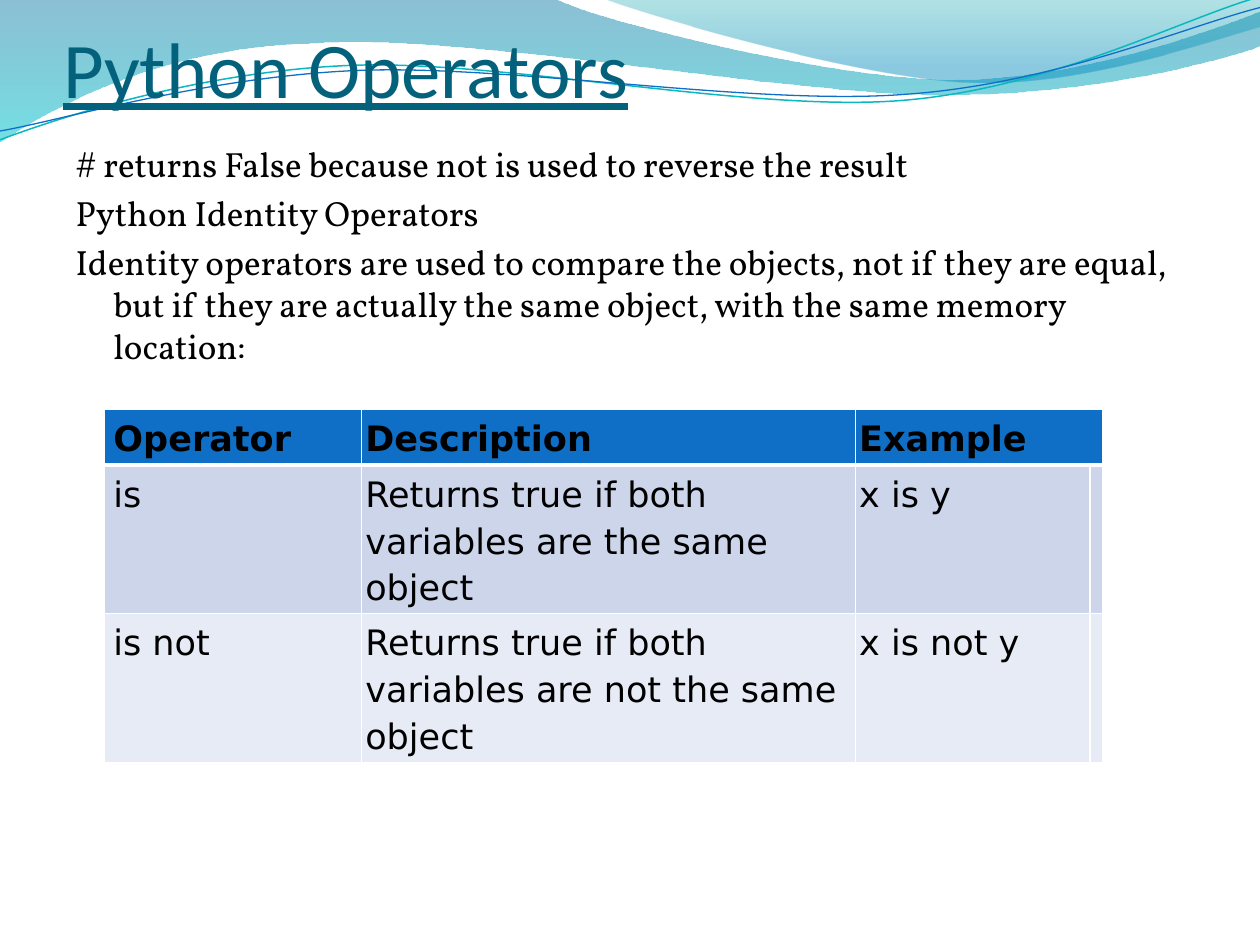
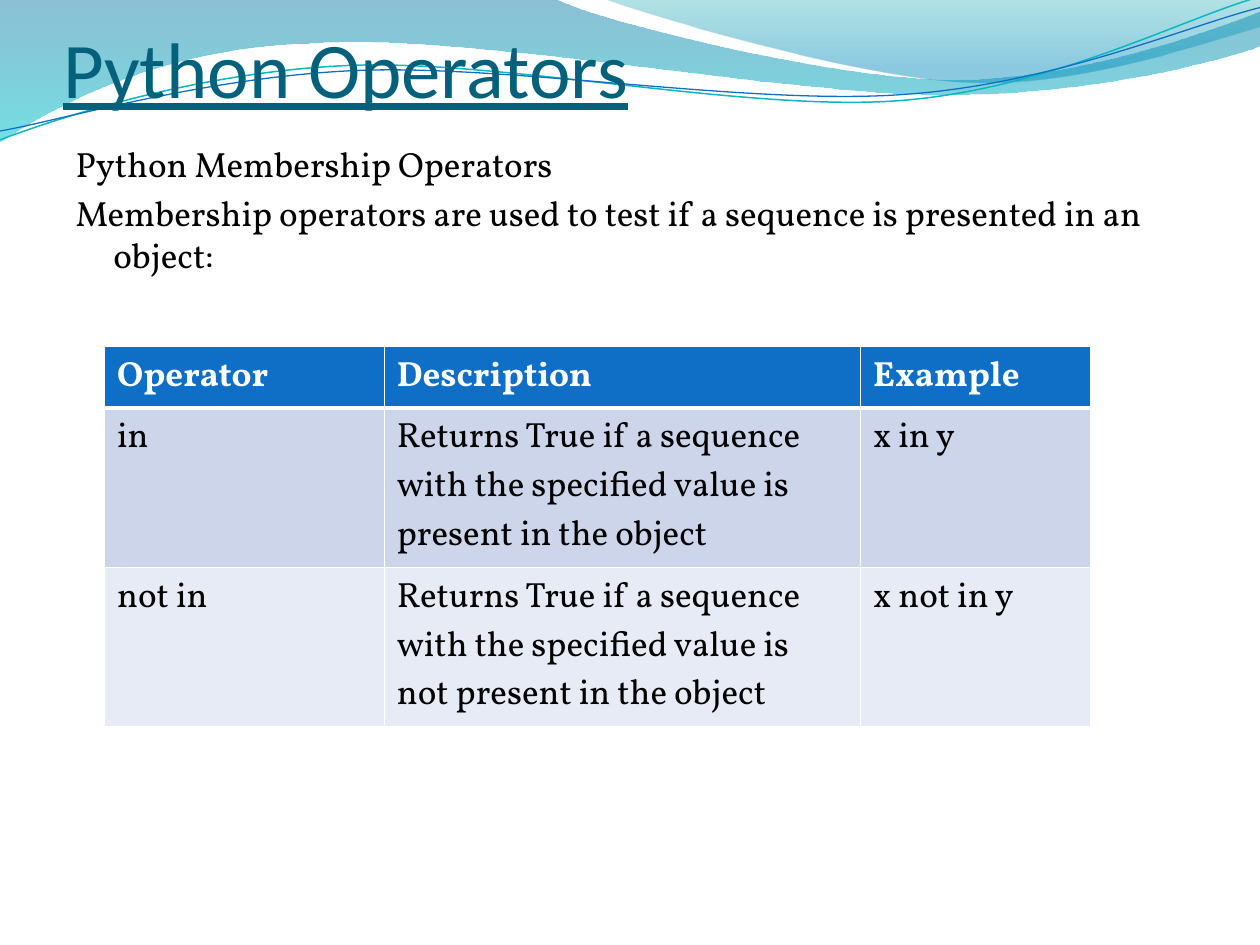
import dataclasses

import pptx
import pptx.dml.color
import pptx.enum.text
import pptx.oxml
import pptx.oxml.ns
import pptx.util
from pptx.util import Inches


@dataclasses.dataclass(frozen=True)
class Theme:
    title_color: str = "04617B"
    text: str = "000000"
    white: str = "FFFFFF"
    header: str = "0F6FC6"
    bands: tuple = ("CCD5EA", "E7EBF5")
    teal_line: str = "0AB8BF"
    title_font: str = "Calibri"
    body_font: str = "Vollkorn"
    code_font: str = "DejaVu Sans"
    title_size: int = 45
    body_size: int = 20


THEME = Theme()
NAMESPACE = pptx.oxml.ns.nsdecls("a")

# Each wave is a list of points; a six-number entry is a Bezier curve.
BROAD_WAVE = [(0, 0), (4.4, -0.01), (4.76, 0.17, 6.64, 0.63, 7.58, 0.63),
              (8.53, 0.63, 9.58, 0.26, 10, 0.09), (10.01, 0.36),
              (9.83, 0.44, 8.7, 0.76, 7.46, 0.75),
              (6.22, 0.75, 3.82, 0.28, 2.57, 0.34),
              (1.29, 0.36, 0.46, 0.83, -0.01, 1.13)]
RIGHT_WAVE = [(4.79, -0.01), (5.09, 0.11, 6.82, 0.62, 7.69, 0.65),
              (8.56, 0.69, 9.61, 0.32, 10, 0.21), (10, 0)]
TEAL_WAVE = [(0, 1.11), (0.48, 0.93, 1.58, 0.57, 2.77, 0.52),
             (3.95, 0.47, 5.93, 0.89, 7.13, 0.8),
             (8.33, 0.71, 9.38, 0.15, 9.98, -0.02)]
BLUE_WAVE = [(0, 1.04), (0.47, 0.96, 1.64, 0.61, 2.83, 0.56),
             (4.03, 0.51, 5.97, 0.84, 7.17, 0.75),
             (8.36, 0.67, 9.41, 0.21, 10, 0.06)]


def color(value):
    return pptx.dml.color.RGBColor.from_string(value)


def style_runs(paragraph, font_name, size, font_color, bold=False, underline=False):
    for run in paragraph.runs:
        run.font.name = font_name
        run.font.size = pptx.util.Pt(size)
        run.font.color.rgb = color(font_color)
        run.font.bold = bold
        run.font.underline = underline


def place(shape, box):
    shape.left, shape.top, shape.width, shape.height = map(Inches, box)


def set_margins(target, left, top, right, bottom):
    target.margin_left, target.margin_top = Inches(left), Inches(top)
    target.margin_right, target.margin_bottom = Inches(right), Inches(bottom)


# Wave decoration, shared through the layout
def add_wave(slide, outline, close):
    """Join the end points with lines, then bend the lines that are curves."""
    start, *corners = [(Inches(entry[-2]), Inches(entry[-1])) for entry in outline]
    builder = slide.shapes.build_freeform(*start)
    builder.add_line_segments(corners, close=close)
    shape = builder.convert_to_shape()
    shape.shadow.inherit = False
    segments = list(shape.element.iter(pptx.oxml.ns.qn("a:lnTo")))
    for segment, entry in zip(segments, outline[1:]):
        if len(entry) == 6:
            points = "".join(
                f'<a:pt x="{Inches(x) - shape.left}" y="{Inches(y) - shape.top}"/>'
                for x, y in zip(entry[::2], entry[1::2]))
            segment.getparent().replace(segment, pptx.oxml.parse_xml(
                f"<a:cubicBezTo {NAMESPACE}>{points}</a:cubicBezTo>"))
    return shape


def add_filled_wave(slide, outline, stops):
    shape = add_wave(slide, outline, True)
    shape.line.fill.background()
    shape.fill.gradient()
    shape.fill.gradient_angle = 270
    for stop, (position, stop_color, _) in zip(shape.fill.gradient_stops, stops):
        stop.position = position
        stop.color.rgb = color(stop_color)
    color_elements = shape.element.spPr.iter(pptx.oxml.ns.qn("a:srgbClr"))
    for element, (_, _, opacity) in zip(list(color_elements), stops):
        element.append(pptx.oxml.parse_xml(
            f'<a:alpha {NAMESPACE} val="{opacity * 1000}"/>'))
    return shape


def add_line_wave(slide, outline, line_color, width):
    shape = add_wave(slide, outline, False)
    shape.fill.background()
    shape.line.color.rgb = color(line_color)
    shape.line.width = pptx.util.Pt(width)
    return shape


def decorate_layout(layout, slide):
    waves = [
        add_filled_wave(slide, BROAD_WAVE, [(0, "0074A1", 45), (1, "00C6CF", 55)]),
        add_filled_wave(slide, RIGHT_WAVE, [(0, "00A1A9", 30), (0.8, "008BBF", 45)]),
        add_line_wave(slide, TEAL_WAVE, THEME.teal_line, 0.85),
        add_line_wave(slide, BLUE_WAVE, THEME.header, 0.75),
    ]
    for index, wave in enumerate(waves):
        layout.shapes.element.insert(2 + index, wave.element)


# Title and body text
def fill_title(shape, text, box):
    place(shape, box)
    frame = shape.text_frame
    frame.text = text
    frame.auto_size = pptx.enum.text.MSO_AUTO_SIZE.NONE
    frame.vertical_anchor = pptx.enum.text.MSO_ANCHOR.BOTTOM
    set_margins(frame, 0, 0.05, 0, 0)
    paragraph = frame.paragraphs[0]
    paragraph.alignment = pptx.enum.text.PP_ALIGN.LEFT
    style_runs(paragraph, THEME.title_font, THEME.title_size, THEME.title_color,
               underline=True)


def fill_body(shape, lines, box):
    place(shape, box)
    frame = shape.text_frame
    frame.text = "\n".join(lines)
    frame.auto_size = pptx.enum.text.MSO_AUTO_SIZE.NONE
    set_margins(frame, 0.1, 0.05, 0.1, 0.05)
    for index, paragraph in enumerate(frame.paragraphs):
        properties = paragraph._p.get_or_add_pPr()
        properties.set("marL", str(Inches(0.3)))
        properties.set("indent", str(Inches(-0.3)))
        properties.append(pptx.oxml.parse_xml(f"<a:buNone {NAMESPACE}/>"))
        paragraph.space_before = pptx.util.Pt(4 if index else 0)
        style_runs(paragraph, THEME.body_font, THEME.body_size, THEME.text)


# Operator table
def set_borders(cell, top, bottom):
    properties = cell._tc.get_or_add_tcPr()
    widths = {"lnL": 1, "lnR": 1, "lnT": top, "lnB": bottom}
    for index, (side, width) in enumerate(widths.items()):
        properties.insert(index, pptx.oxml.parse_xml(
            f'<a:{side} {NAMESPACE} w="{pptx.util.Pt(width)}">'
            f'<a:solidFill><a:srgbClr val="{THEME.white}"/></a:solidFill></a:{side}>'))


def add_operator_table(slide, position, column_widths, row_heights, rows,
                       font_name, header_color, line_spacing, margins):
    """Margins are those of the first column and of the other columns."""
    left, top = position
    table = slide.shapes.add_table(
        len(row_heights), len(column_widths), Inches(left), Inches(top),
        Inches(sum(column_widths)), Inches(sum(row_heights))).table
    table.horz_banding = False
    for column, width in zip(table.columns, column_widths):
        column.width = Inches(width)
    for row_index, (row, height) in enumerate(zip(table.rows, row_heights)):
        row.height = Inches(height)
        is_header = row_index == 0
        for column_index, cell in enumerate(row.cells):
            set_margins(cell, *margins[min(column_index, 1)])
            cell.fill.solid()
            cell.fill.fore_color.rgb = color(
                THEME.header if is_header else THEME.bands[(row_index - 1) % 2])
            set_borders(cell, 3 if row_index == 1 else 1, 3 if is_header else 1)
            if column_index < len(rows[row_index]):
                cell.text_frame.text = rows[row_index][column_index]
                paragraph = cell.text_frame.paragraphs[0]
                paragraph.line_spacing = line_spacing
                style_runs(paragraph, font_name, THEME.body_size,
                           header_color if is_header else THEME.text, bold=is_header)
    return table


def add_operator_slide(presentation, lines):
    slide = presentation.slides.add_slide(presentation.slide_layouts[1])
    fill_title(slide.shapes.title, "Python Operators", (0.5, 0.17, 9, 0.74))
    fill_body(slide.placeholders[1], lines, (0.5, 1.08, 9, 6.17))
    return slide


HEADINGS = ("Operator", "Description", "Example")


def add_identity_slide(presentation):
    slide = add_operator_slide(presentation, [
        "# returns False because not is used to reverse the result",
        "Python Identity Operators",
        "Identity operators are used to compare the objects, not if they are equal, "
        "but if they are actually the same object, with the same memory location:"])
    table = add_operator_table(
        slide, (0.83, 3.25), (2.04, 3.92, 1.86, 0.1), (0.44, 1.18, 1.18),
        [HEADINGS,
         ("is", "Returns true if both variables are the same object", "x is y"),
         ("is not", "Returns true if both variables are not the same object",
          "x is not y")],
        THEME.code_font, THEME.text, 1.15,
        ((0.07, 0.03, 0.03, 0.03), (0.03, 0.03, 0.03, 0.03)))
    table.cell(0, 2).merge(table.cell(0, 3))
    return slide


def add_membership_slide(presentation):
    slide = add_operator_slide(presentation, [
        "Python Membership Operators",
        "Membership operators are used to test if a sequence is presented in an object:"])
    add_operator_table(
        slide, (0.83, 2.75), (2.22, 3.78, 1.83), (0.48, 1.26, 1.26),
        [HEADINGS,
         ("in", "Returns True if a sequence with the specified value is present "
                "in the object", "x in y"),
         ("not in", "Returns True if a sequence with the specified value is not "
                    "present in the object", "x not in y")],
        THEME.body_font, THEME.white, 1.0, ((0.1, 0.05, 0.1, 0.05),) * 2)
    return slide


def main():
    presentation = pptx.Presentation()
    presentation.slide_width, presentation.slide_height = Inches(10), Inches(7.5)
    first_slide = add_identity_slide(presentation)
    decorate_layout(first_slide.slide_layout, first_slide)
    add_membership_slide(presentation)
    presentation.save("out.pptx")


if __name__ == "__main__":
    main()
